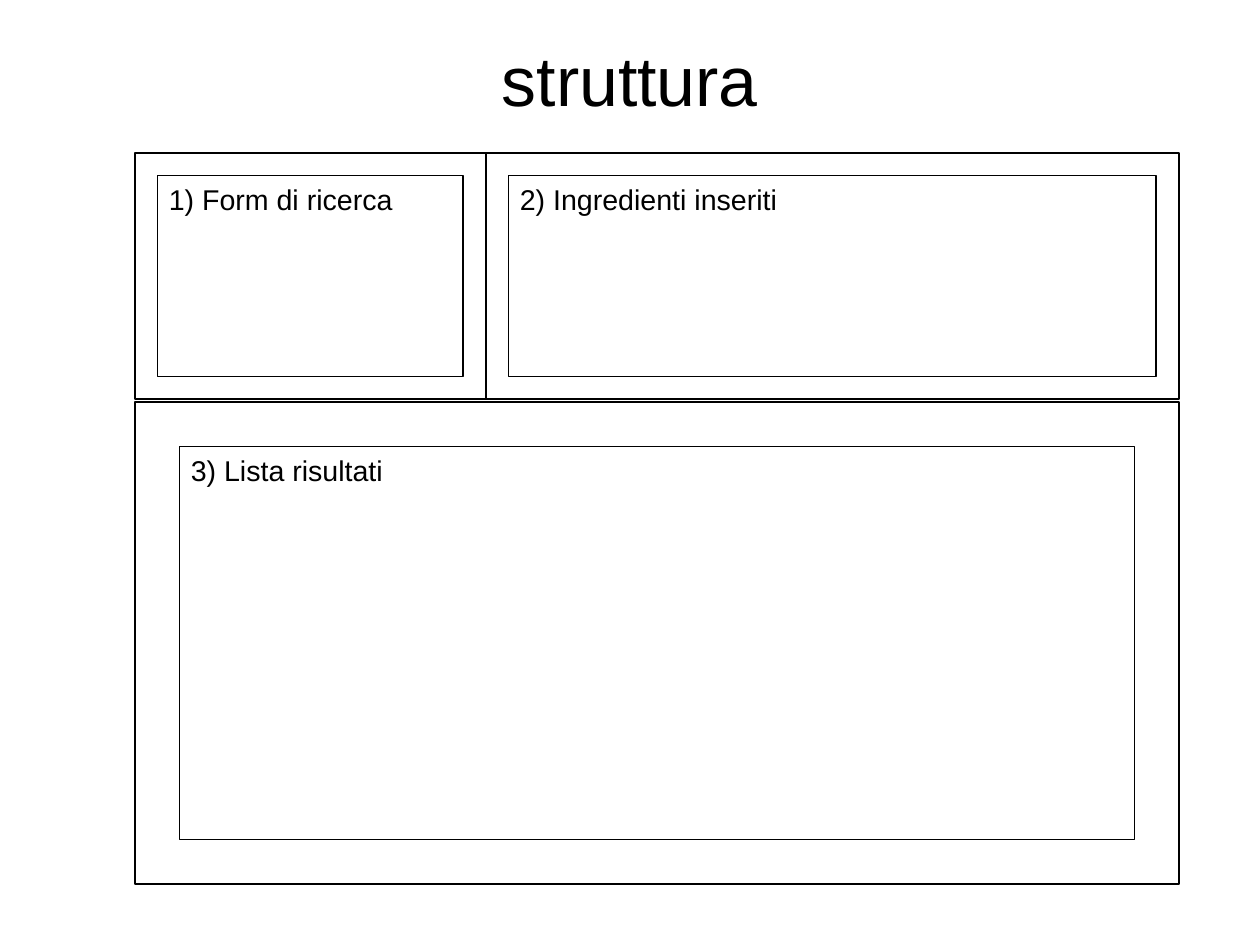
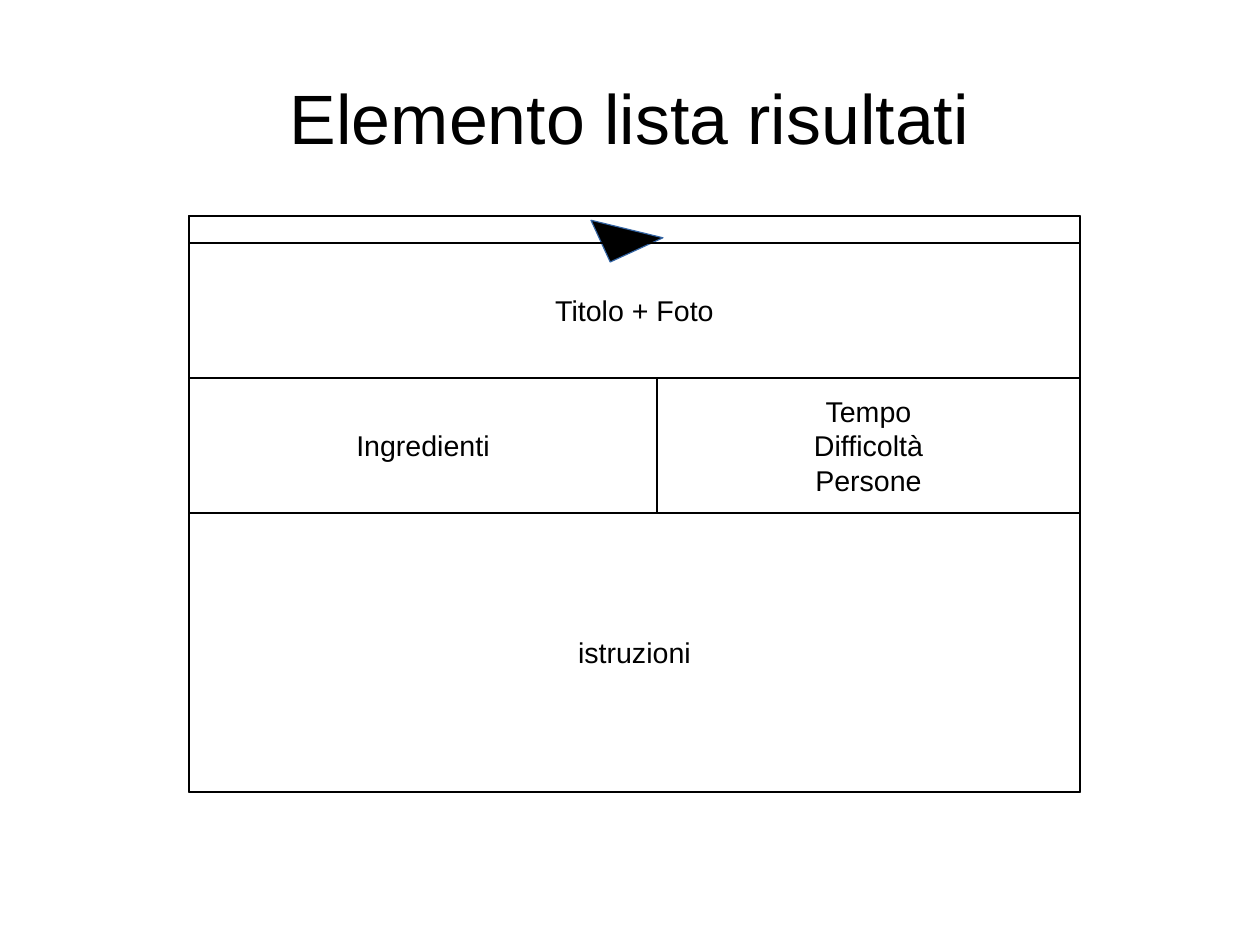
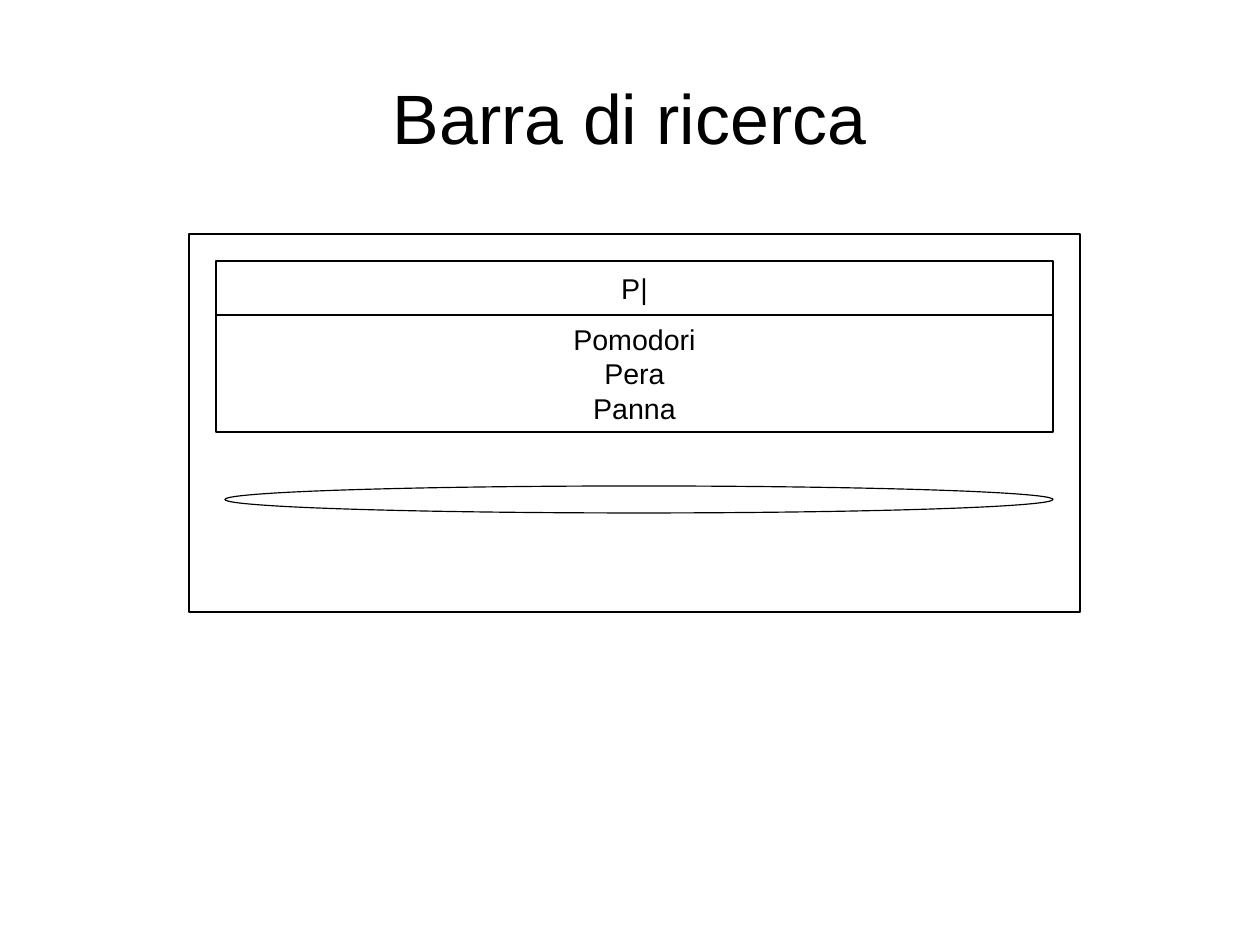
import dataclasses

import pptx
import pptx.dml.color
import pptx.enum.shapes
import pptx.enum.text
import pptx.util

PX = 8000  # EMU in one px
SHAPE = pptx.enum.shapes.MSO_SHAPE
ALIGN = pptx.enum.text.PP_ALIGN
ANCHOR = pptx.enum.text.MSO_ANCHOR


@dataclasses.dataclass(frozen=True)
class Theme:
    ink: str = "000000"
    accent: str = "3465A4"
    font: str = "Arial"
    title_size: int = 44
    body_size: int = 18
    hairline: int = 0
    border: int = 1
    frame_ratio: float = 0.093


THEME = Theme()


def emu(*lengths):
    return [pptx.util.Emu(length * PX) for length in lengths]


def rgb(value):
    return pptx.dml.color.RGBColor.from_string(value)


def write(shape, text, *, size=THEME.body_size, align=ALIGN.CENTER,
          anchor=ANCHOR.MIDDLE, insets=(13, 7)):
    """Put text into a shape, one paragraph for each line."""
    frame = shape.text_frame
    frame.word_wrap = True
    frame.auto_size = pptx.enum.text.MSO_AUTO_SIZE.NONE
    frame.vertical_anchor = anchor
    frame.margin_left, frame.margin_top = emu(*insets)
    frame.margin_right, frame.margin_bottom = emu(*insets)
    frame.text = text
    for paragraph in frame.paragraphs:
        paragraph.alignment = align
        paragraph.font.size = pptx.util.Pt(size)
        paragraph.font.name = THEME.font
        paragraph.font.color.rgb = rgb(THEME.ink)


def outline(slide, box, kind=SHAPE.RECTANGLE, width=THEME.border,
            color=THEME.ink, fill=None):
    shape = slide.shapes.add_shape(kind, *emu(*box))
    shape.shadow.inherit = False
    if fill:
        shape.fill.solid()
        shape.fill.fore_color.rgb = rgb(fill)
    else:
        shape.fill.background()
    shape.line.color.rgb = rgb(color)
    shape.line.width = pptx.util.Pt(width)
    return shape


def titled_slide(deck, title, top=38):
    slide = deck.slides.add_slide(deck.slide_layouts[5])
    heading = slide.shapes.title
    heading.left, heading.top, heading.width, heading.height = emu(63, top, 1134, 158)
    write(heading, title, size=THEME.title_size, insets=(0, 0))
    return slide


def panel(slide, box, label):
    """A framed page region with its label in the top left corner."""
    region = outline(slide, box, SHAPE.FRAME, THEME.hairline)
    region.adjustments[0] = THEME.frame_ratio
    write(region, label, align=ALIGN.LEFT, anchor=ANCHOR.TOP, insets=(11, 6))


def page_structure(slide, box):
    left, top, width, height = box
    form_width, upper_height, gap = 351, 246, 3
    results_top = upper_height + gap
    panel(slide, (left, top, form_width, upper_height), "1) Form di ricerca")
    panel(slide, (left + form_width, top, width - form_width, upper_height),
          "2) Ingredienti inseriti")
    panel(slide, (left, top + results_top, width, height - results_top),
          "3) Lista risultati")


def recipe_card(slide, box):
    left, top, width, height = box
    bar_height, row_height, ingredients_width = 27, 135, 468
    outline(slide, box)

    # Bar with the expanding arrow
    outline(slide, (left, top, width, bar_height))
    arrow = outline(slide, (left + 409, top - 10, 58, 46), SHAPE.RIGHT_TRIANGLE,
                    THEME.hairline, THEME.accent, THEME.ink)
    arrow.rotation = 335.3

    # Rows of the recipe, each a list of (label, width)
    rows = [
        (row_height, [("Titolo + Foto", width)]),
        (row_height, [("Ingredienti", ingredients_width),
                      ("Tempo\nDifficoltà\nPersone", width - ingredients_width)]),
        (height - bar_height - 2 * row_height, [("istruzioni", width)]),
    ]
    row_top = top + bar_height
    for cell_height, cells in rows:
        cell_left = left
        for label, cell_width in cells:
            cell = outline(slide, (cell_left, row_top, cell_width, cell_height))
            write(cell, label)
            cell_left += cell_width
        row_top += cell_height


def search_box(slide, box):
    left, top, width, _ = box
    margin, field_height, list_height = 27, 54, 117
    inner_left, inner_top = left + margin, top + margin
    inner_width = width - 2 * margin
    outline(slide, box)
    field = outline(slide, (inner_left, inner_top, inner_width, field_height))
    write(field, "P|")
    outline(slide, (inner_left + 9, top + 252, inner_width - 9, 27),
            SHAPE.OVAL, THEME.hairline)
    suggestions = outline(
        slide, (inner_left, inner_top + field_height, inner_width, list_height))
    write(suggestions, "Pomodori\nPera\nPanna")


def main():
    deck = pptx.Presentation()
    deck.slide_width, deck.slide_height = emu(1260, 945)
    page_structure(titled_slide(deck, "struttura", top=0), (135, 153, 1044, 731))
    recipe_card(titled_slide(deck, "Elemento lista risultati"), (189, 216, 891, 576))
    search_box(titled_slide(deck, "Barra di ricerca"), (189, 234, 891, 378))
    deck.save("out.pptx")


if __name__ == "__main__":
    main()
